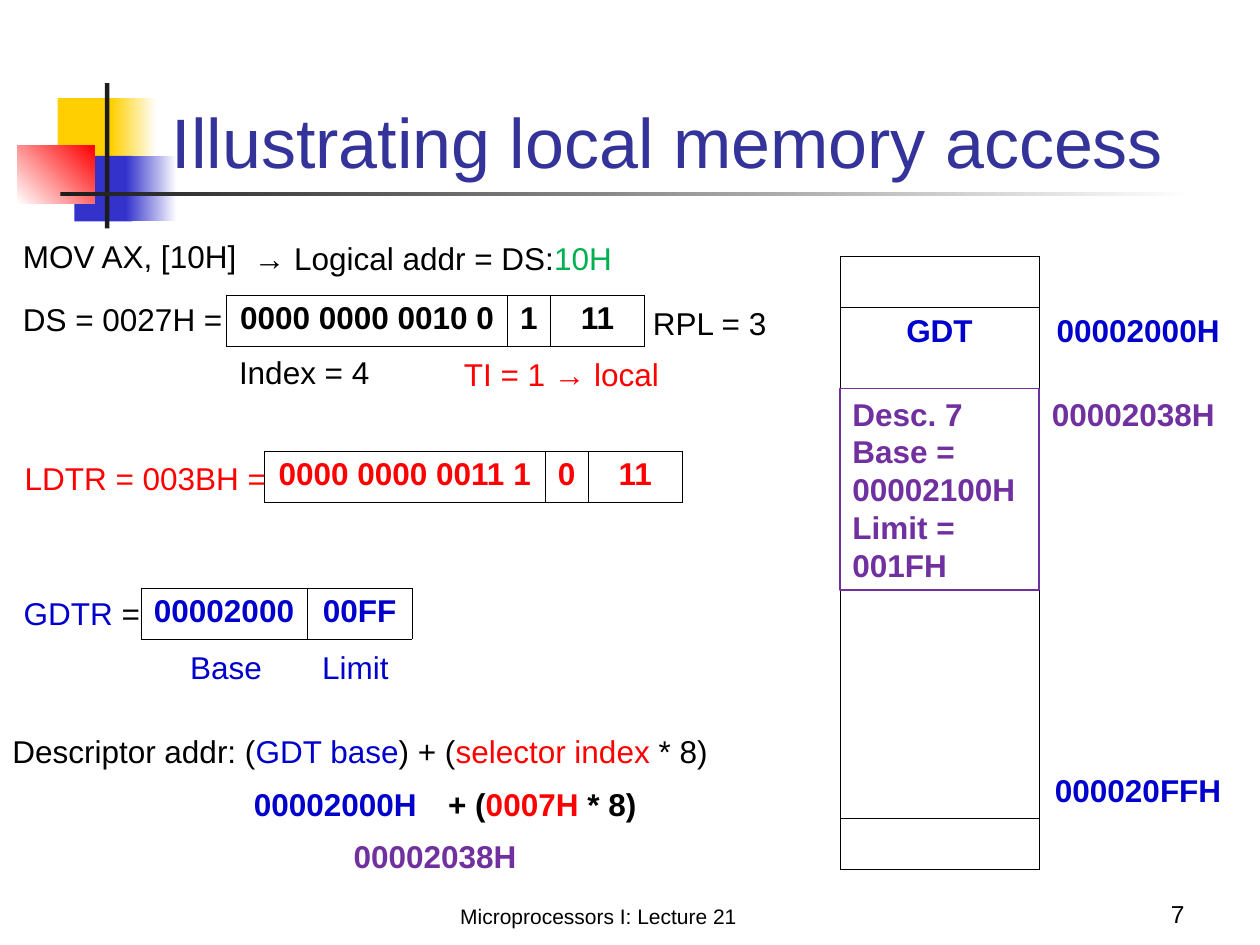
from lxml import etree
from pptx import Presentation
from pptx.dml.color import RGBColor
from pptx.enum.shapes import MSO_SHAPE
from pptx.enum.text import MSO_ANCHOR, MSO_AUTO_SIZE, PP_ALIGN
from pptx.oxml.ns import qn
from pptx.util import Pt

LEFT, CENTER, RIGHT = PP_ALIGN.LEFT, PP_ALIGN.CENTER, PP_ALIGN.RIGHT
TOP, BOTTOM = MSO_ANCHOR.TOP, MSO_ANCHOR.BOTTOM
RECTANGLE = MSO_SHAPE.RECTANGLE

BLACK = RGBColor(0x00, 0x00, 0x00)
WHITE = RGBColor(0xFF, 0xFF, 0xFF)
CHARCOAL = RGBColor(0x1C, 0x1C, 0x1C)
YELLOW = RGBColor(0xFF, 0xCF, 0x01)
INDIGO = RGBColor(0x33, 0x33, 0xCC)
TITLE_BLUE = RGBColor(0x33, 0x33, 0x99)
BLUE = RGBColor(0x00, 0x00, 0xCC)
RED = RGBColor(0xFF, 0x00, 0x00)
GREEN = RGBColor(0x00, 0xB0, 0x50)
PURPLE = RGBColor(0x70, 0x30, 0xA0)

FONT = "Arial"
LINE_HEIGHT = 29
ROW_HEIGHT = 29.2
BORDER_WIDTH = 0.45
SIDES = ("L", "R", "T", "B")

TITLE = "Illustrating local memory access"

# left, top, width, height, colours (two make a gradient), gradient angle
DECORATIONS = [
    (33, 56, 35, 37.5, (YELLOW,), 0),
    (63.5, 56, 26, 37.5, (YELLOW, WHITE), 0),
    (42.5, 89, 33, 37.5, (INDIGO,), 0),
    (72, 89, 29, 37.5, (INDIGO, WHITE), 0),
    (10, 83, 44, 33.5, (WHITE, RED), 45),
    (60, 47.5, 2.5, 83, (CHARCOAL,), 0),
    (34.5, 109.5, 648, 2.5, (CHARCOAL, WHITE), 0),
]

# left, top, width, runs of (text, colour), bold
LABELS = [
    (6, 132, 144, [("MOV AX, [10H]", BLACK)], False),
    (138, 133, 222, [("→ Logical addr = DS:", BLACK), ("10H", GREEN)], False),
    (6, 168, 132, [("DS = 0027H =", BLACK)], False),
    (366, 170, 96, [("RPL = 3", BLACK)], False),
    (258, 199.5, 162, [("TI = 1 → local", RED)], False),
    (129.5, 198, 96, [("Index = 4", BLACK)], False),
    (7, 258.5, 154, [("LDTR = 003BH =", RED)], False),
    (6.5, 336, 88, [("GDTR ", BLUE), ("=", BLACK)], False),
    (101.5, 366.5, 70, [("Base", BLUE)], False),
    (177, 366.5, 70, [("Limit", BLUE)], False),
    (0, 414.5, 432, [("Descriptor addr: (", BLACK), ("GDT base", BLUE),
                     (") + (", BLACK), ("selector index ", RED),
                     ("* 8)", BLACK)], False),
    (138, 445, 111, [("00002000H", BLUE)], True),
    (249, 445, 147, [("+ (", BLACK), ("0007H", RED), (" * 8)", BLACK)], True),
    (195, 475, 111, [("00002038H", PURPLE)], True),
    (594, 222, 111, [("00002038H", PURPLE)], True),
]

SELECTOR_COLUMNS = (160.5, 24.5, 54)
# left, top, column widths, cell texts, colour
REGISTERS = [
    (129.5, 168.5, SELECTOR_COLUMNS, ("0000 0000 0010 0", "1", "11"), BLACK),
    (151, 257.75, SELECTOR_COLUMNS, ("0000 0000 0011 1", "0", "11"), RED),
    (80.5, 336, (95, 60), ("00002000", "00FF"), BLUE),
]

MEMORY_LEFT, MEMORY_TOP = 480, 146.5
MEMORY_COLUMNS = (113.75, 113.25)
MEMORY_ROWS = 12
MEMORY_TEXT = {(1, 0): "GDT", (1, 1): "00002000H", (10, 1): "000020FFH"}
DESCRIPTOR = ["Desc. 7", "Base = 00002100H", "Limit =", "001FH"]


def write(frame, paragraphs, size=18, bold=False, align=LEFT, anchor=TOP):
    """Fill a text frame; each paragraph is a list of (text, colour)."""
    frame.word_wrap = True
    frame.vertical_anchor = anchor
    for index, runs in enumerate(paragraphs):
        paragraph = frame.add_paragraph() if index else frame.paragraphs[0]
        paragraph.alignment = align
        for text, colour in runs:
            run = paragraph.add_run()
            run.text = text
            run.font.name = FONT
            run.font.size = Pt(size)
            run.font.bold = bold
            run.font.color.rgb = colour


def add_label(slide, left, top, width, runs, height=LINE_HEIGHT, **text_format):
    box = slide.shapes.add_textbox(Pt(left), Pt(top), Pt(width), Pt(height))
    write(box.text_frame, [runs], **text_format)


def add_rectangle(slide, left, top, width, height):
    shape = slide.shapes.add_shape(RECTANGLE, Pt(left), Pt(top), Pt(width), Pt(height))
    shape.shadow.inherit = False
    return shape


def add_decoration(slide, left, top, width, height, colours, angle):
    shape = add_rectangle(slide, left, top, width, height)
    shape.line.fill.background()
    if len(colours) == 1:
        shape.fill.solid()
        shape.fill.fore_color.rgb = colours[0]
        return
    shape.fill.gradient()
    shape.fill.gradient_angle = angle
    for stop, colour, position in zip(shape.fill.gradient_stops, colours, (0, 1)):
        stop.color.rgb = colour
        stop.position = position


def set_borders(cell, visible):
    """Draw the sides of the cell named in visible and clear the others."""
    properties = cell._tc.get_or_add_tcPr()
    for side in SIDES:
        line = etree.SubElement(properties, qn(f"a:ln{side}"), w=str(Pt(BORDER_WIDTH)))
        if side in visible:
            fill = etree.SubElement(line, qn("a:solidFill"))
            etree.SubElement(fill, qn("a:srgbClr"), val=str(BLACK))
        else:
            etree.SubElement(line, qn("a:noFill"))
    cell.fill.background()


def write_cell(cell, text, colour):
    write(cell.text_frame, [[(text, colour)]], bold=True, align=CENTER)


def add_grid(slide, left, top, widths, row_count):
    frame = slide.shapes.add_table(row_count, len(widths), Pt(left), Pt(top),
                                   Pt(sum(widths)), Pt(ROW_HEIGHT * row_count))
    table = frame.table
    table.first_row = table.horz_banding = False
    for column, width in zip(table.columns, widths):
        column.width = Pt(width)
    return table


def add_register(slide, left, top, widths, texts, colour):
    table = add_grid(slide, left, top, widths, 1)
    for cell, text in zip(table.iter_cells(), texts):
        set_borders(cell, SIDES)
        write_cell(cell, text, colour)


def memory_sides(row, column):
    """Memory is an outlined column with its first and last rows ruled off."""
    if column == 1:
        return "L"
    last = MEMORY_ROWS - 1
    return ("LR" + ("T" if row in (0, 1, last) else "")
            + ("B" if row in (0, last - 1, last) else ""))


def add_memory(slide):
    table = add_grid(slide, MEMORY_LEFT, MEMORY_TOP, MEMORY_COLUMNS, MEMORY_ROWS)
    for row in range(MEMORY_ROWS):
        for column in range(len(MEMORY_COLUMNS)):
            cell = table.cell(row, column)
            set_borders(cell, memory_sides(row, column))
            if (row, column) in MEMORY_TEXT:
                write_cell(cell, MEMORY_TEXT[row, column], BLUE)


def add_descriptor(slide):
    shape = add_rectangle(slide, MEMORY_LEFT, 222, MEMORY_COLUMNS[0], 115.25)
    shape.fill.background()
    shape.line.color.rgb = PURPLE
    shape.line.width = Pt(0.75)
    write(shape.text_frame, [[(text, PURPLE)] for text in DESCRIPTOR], bold=True)


def add_title(slide):
    title = slide.shapes.title
    title.left, title.top, title.width, title.height = Pt(91), Pt(18), Pt(613), Pt(90)
    title.text_frame.auto_size = MSO_AUTO_SIZE.NONE
    write(title.text_frame, [[(TITLE, TITLE_BLUE)]], size=40, anchor=BOTTOM)
    title.element.getparent().append(title.element)  # in front of the decorations


def main():
    presentation = Presentation()
    presentation.slide_width, presentation.slide_height = Pt(720), Pt(540)
    slide = presentation.slides.add_slide(presentation.slide_layouts[5])
    for decoration in DECORATIONS:
        add_decoration(slide, *decoration)
    add_title(slide)
    add_label(slide, 150, 498, 384, [("Microprocessors I: Lecture 21", BLACK)],
              height=36, size=12, align=CENTER, anchor=BOTTOM)
    add_label(slide, 534, 498, 150, [("7", BLACK)],
              height=36, size=14, align=RIGHT, anchor=BOTTOM)
    for register in REGISTERS:
        add_register(slide, *register)
    add_memory(slide)
    add_descriptor(slide)
    for left, top, width, runs, bold in LABELS:
        add_label(slide, left, top, width, runs, bold=bold)
    presentation.save("out.pptx")


if __name__ == "__main__":
    main()
